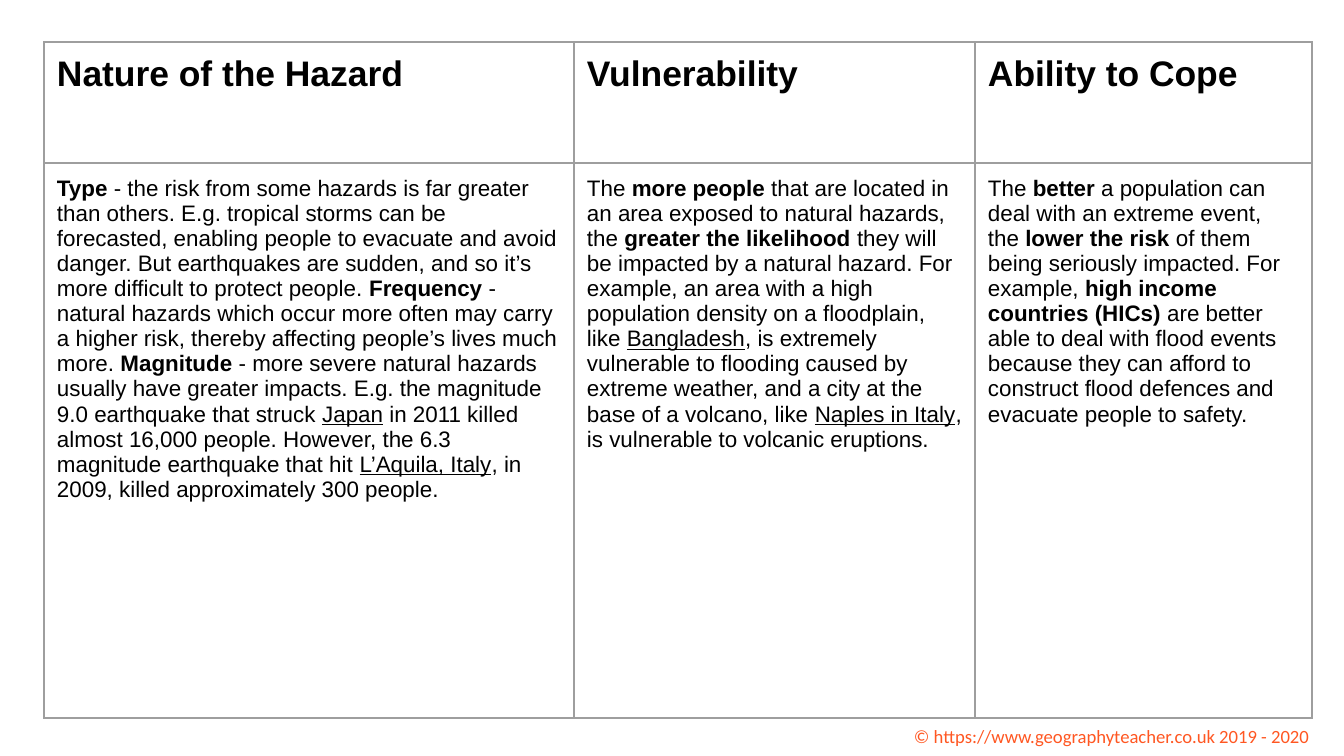
from lxml.etree import SubElement
from pptx import Presentation
from pptx.dml.color import RGBColor
from pptx.oxml.ns import qn
from pptx.util import Emu, Pt

EMU_PER_PX = 914400 / 134.4
BLACK = RGBColor(0x00, 0x00, 0x00)
ORANGE = RGBColor(0xFF, 0x57, 0x22)
GREY = RGBColor(0x9E, 0x9E, 0x9E)

INSET = 13
COLUMN_WIDTHS = (530, 401, 337)
ROW_HEIGHTS = (121, 555)

PLAIN = {"bold": False, "underline": False}
BOLD = {"bold": True}
LINK = {"underline": True}
HEADING = {"name": "Arial", "size": Pt(19), "bold": True}
BODY = {"name": "Arial", "size": Pt(12), **PLAIN}
FOOTER = {"name": "Calibri", "size": Pt(10)}

HEADINGS = ("Nature of the Hazard", "Vulnerability", "Ability to Cope")

HAZARD = [
    ("Type", BOLD),
    (" - the risk from some hazards is far greater than others. E.g. tropical "
     "storms can be forecasted, enabling people to evacuate and avoid danger. "
     "But earthquakes are sudden, and so it’s more difficult to protect people. ", PLAIN),
    ("Frequency", BOLD),
    (" - natural hazards which occur more often may carry a higher risk, "
     "thereby affecting people’s lives much more. ", PLAIN),
    ("Magnitude", BOLD),
    (" - more severe natural hazards usually have greater impacts. E.g. the "
     "magnitude 9.0 earthquake that struck ", PLAIN),
    ("Japan", LINK),
    (" in 2011 killed almost 16,000 people. However, the 6.3 magnitude "
     "earthquake that hit ", PLAIN),
    ("L’Aquila, Italy", LINK),
    (", in 2009, killed approximately 300 people.", PLAIN),
]
VULNERABILITY = [
    ("The ", PLAIN),
    ("more people ", BOLD),
    ("that are located in an area exposed to natural hazards, the ", PLAIN),
    ("greater the likelihood", BOLD),
    (" they will be impacted by a natural hazard. For example, an area with a "
     "high population density on a floodplain, like ", PLAIN),
    ("Bangladesh", LINK),
    (", is extremely vulnerable to flooding caused by extreme weather, and a "
     "city at the base of a volcano, like ", PLAIN),
    ("Naples in Italy", LINK),
    (", is vulnerable to volcanic eruptions.", PLAIN),
]
COPING = [
    ("The ", PLAIN),
    ("better", BOLD),
    (" a population can deal with an extreme event, the ", PLAIN),
    ("lower the risk", BOLD),
    (" of them being seriously impacted. For example, ", PLAIN),
    ("high income countries (HICs) ", BOLD),
    ("are better able to deal with flood events because they can afford to "
     "construct flood defences and evacuate people to safety.", PLAIN),
]


def px(length):
    return Emu(round(length * EMU_PER_PX))


def set_all(target, values):
    for name, value in values.items():
        setattr(target, name, value)


def set_insets(target):
    set_all(target, {f"margin_{side}": px(INSET)
                     for side in ("left", "top", "right", "bottom")})


def write(para, spans, base, color):
    for text, style in spans:
        span = para.add_run()
        span.text = text
        set_all(span.font, {**base, **style})
        span.font.color.rgb = color


def add_borders(cell):
    properties = cell._tc.get_or_add_tcPr()
    # Border lines have to stand before the fill
    for index, side in enumerate(("lnL", "lnR", "lnT", "lnB")):
        line = SubElement(properties, qn(f"a:{side}"), w=str(Pt(0.75)))
        fill = SubElement(line, qn("a:solidFill"))
        SubElement(fill, qn("a:srgbClr"), val=str(GREY))
        properties.insert(index, line)


def fill_cell(cell, spans, base):
    set_insets(cell)
    cell.fill.background()
    add_borders(cell)
    write(cell.text_frame.paragraphs[0], spans, base, BLACK)


def add_hazard_table(page, left, top):
    table = page.shapes.add_table(
        len(ROW_HEIGHTS), len(COLUMN_WIDTHS), px(left), px(top),
        px(sum(COLUMN_WIDTHS)), px(sum(ROW_HEIGHTS))).table
    set_all(table, {"first_row": False, "horz_banding": False})
    for column, width in zip(table.columns, COLUMN_WIDTHS):
        column.width = px(width)
    for row, height in zip(table.rows, ROW_HEIGHTS):
        row.height = px(height)
    for index, body in enumerate((HAZARD, VULNERABILITY, COPING)):
        fill_cell(table.cell(0, index), [(HEADINGS[index], BOLD)], HEADING)
        fill_cell(table.cell(1, index), body, BODY)


def add_footer(page, text, left, top, width, height):
    box = page.shapes.add_textbox(px(left), px(top), px(width), px(height))
    frame = box.text_frame
    frame.word_wrap = True
    set_insets(frame)
    write(frame.paragraphs[0], [(text, PLAIN)], FOOTER, ORANGE)


def main():
    deck = Presentation()
    set_all(deck, {"slide_width": px(1344), "slide_height": px(756)})
    page = deck.slides.add_slide(deck.slide_layouts[6])

    # Copyright line
    add_footer(page, "© https://www.geographyteacher.co.uk 2019 - 2020",
               901, 714, 443, 34)

    # Three factors of hazard risk
    add_hazard_table(page, 44, 42)
    deck.save("out.pptx")


if __name__ == "__main__":
    main()
